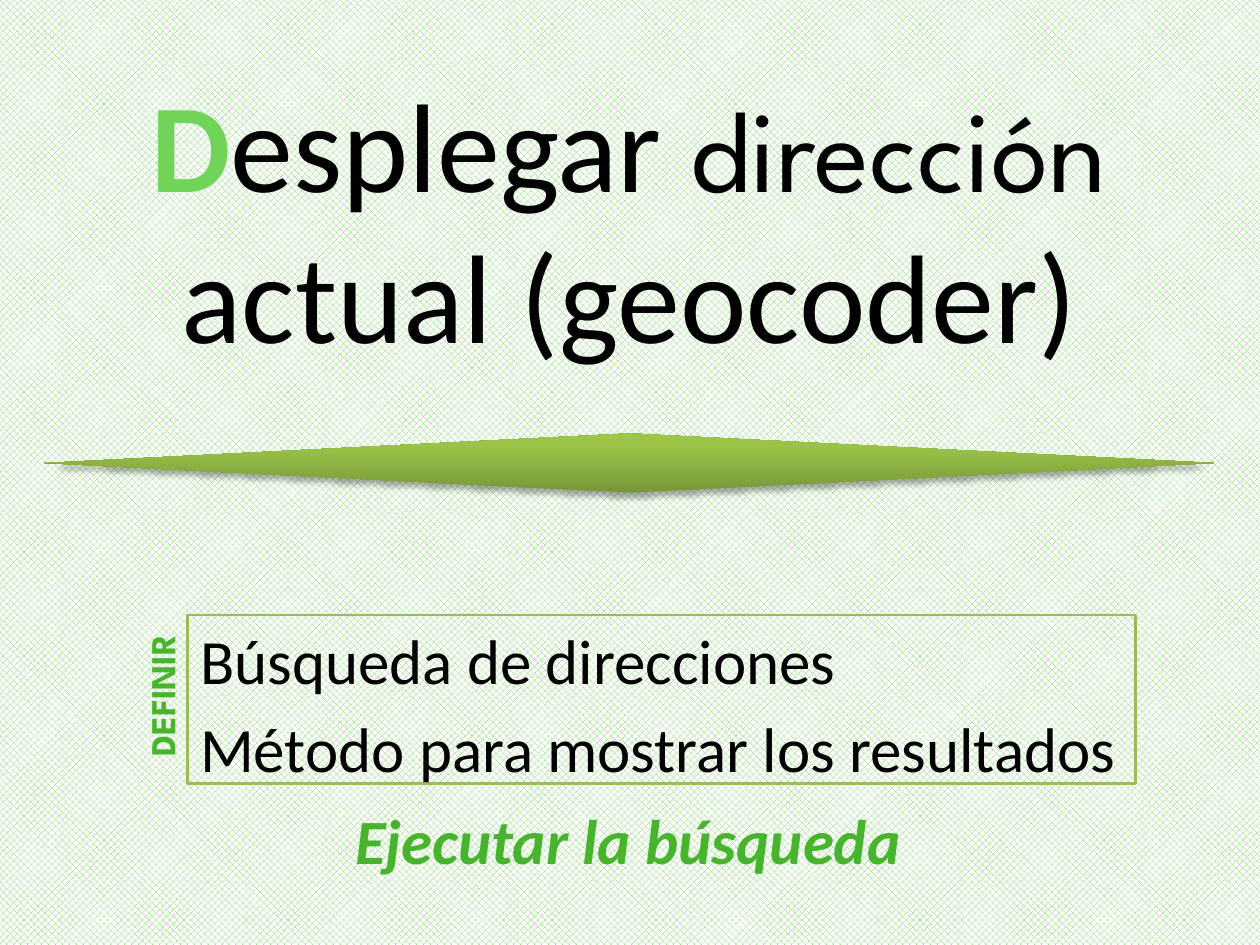
import copy

import pptx
import pptx.util
import pptx.oxml
import pptx.oxml.ns
import pptx.dml.color
import pptx.enum.dml
import pptx.enum.shapes
import pptx.enum.text

Inches, Pt = pptx.util.Inches, pptx.util.Pt
ALIGN = pptx.enum.text.PP_ALIGN
ANCHOR = pptx.enum.text.MSO_ANCHOR
COLORS = {"light": "70D458", "green": "48B42E", "border": "9BBB59",
          "black": "000000", "white": "FFFFFF"}
GRADIENT = [(0, "779737"), (0.8, "9BC348"), (1, "9DC746")]


def rgb(value):
    return pptx.dml.color.RGBColor.from_string(value)


def add_run(p, text, size=36, font="Calibri", color="black", bold=False, italic=False):
    r = p.add_run()
    r.text = text
    r.font.size, r.font.name = Pt(size), font
    r.font.bold, r.font.italic = bold, italic
    r.font.color.rgb = rgb(COLORS[color])


def add_text(s, box, paragraphs, align=ALIGN.LEFT, anchor=ANCHOR.TOP, before=0, grow=False):
    """Each paragraph is a list of (text, format) runs."""
    sp = s.shapes.add_textbox(*map(Inches, box))
    tf = sp.text_frame
    tf.word_wrap = True
    tf.vertical_anchor = anchor
    if grow:
        tf.auto_size = pptx.enum.text.MSO_AUTO_SIZE.SHAPE_TO_FIT_TEXT
    for i, runs in enumerate(paragraphs):
        p = tf.add_paragraph() if i else tf.paragraphs[0]
        p.alignment = align
        p.space_before = Pt(before)
        for text, fmt in runs:
            add_run(p, text, **fmt)
    return sp


def set_background(s):
    fill = s.background.fill
    fill.patterned()
    fill.pattern = pptx.enum.dml.MSO_PATTERN.OUTLINED_DIAMOND
    fill.fore_color.rgb = rgb(COLORS["light"])
    fill.back_color.rgb = rgb(COLORS["white"])


def add_divider(s, box):
    kind = pptx.enum.shapes.MSO_SHAPE.FLOWCHART_DECISION
    sp = s.shapes.add_shape(kind, *map(Inches, box))
    sp.line.fill.background()
    sp.fill.gradient()
    sp.fill.gradient_angle = 90
    # The default gradient has two stops; add the third
    stops = sp._element.spPr.find(".//" + pptx.oxml.ns.qn("a:gsLst"))
    stops.append(copy.deepcopy(stops[-1]))
    for stop, (position, color) in zip(sp.fill.gradient_stops, GRADIENT):
        stop.position = position
        stop.color.rgb = rgb(color)
    # Soft shadow below
    sp._element.spPr.append(pptx.oxml.parse_xml(
        f'<a:effectLst {pptx.oxml.ns.nsdecls("a")}>'
        f'<a:outerShdw blurRad="{Pt(3.1)}" dist="{Pt(1.8)}" dir="5400000" rotWithShape="0">'
        f'<a:srgbClr val="{COLORS["black"]}"><a:alpha val="35000"/></a:srgbClr>'
        '</a:outerShdw></a:effectLst>'))


def main():
    prs = pptx.Presentation()
    prs.slide_width, prs.slide_height = Inches(10), Inches(7.5)
    s = prs.slides.add_slide(prs.slide_layouts[6])
    set_background(s)

    # Title
    add_text(s, (0.37, 0.92, 9.25, 1.61), [[
        ("D", dict(size=72, color="light", bold=True)),
        ("esplegar ", dict(size=72)),
        ("dirección", dict(size=66, font="League Spartan")),
        (" actual (geocoder)", dict(size=72)),
    ]], align=ALIGN.CENTER, anchor=ANCHOR.MIDDLE)

    # Framed steps with their side label
    steps = add_text(s, (1.49, 4.88, 7.52, 1.34), [
        [("Búsqueda de direcciones", {})],
        [("Método para mostrar los resultados", {})],
    ], before=7.2)
    steps.line.color.rgb = rgb(COLORS["border"])
    steps.line.width = Pt(1.5)
    label = add_text(s, (0.46, 5.3, 1.65, 0.44), [[
        ("DEFINIR", dict(size=20, font="League Spartan", color="green", bold=True)),
    ]], align=ALIGN.CENTER, grow=True)
    label.rotation = 270

    # Divider and closing action
    add_divider(s, (0.35, 3.44, 9.29, 0.47))
    add_text(s, (2.72, 6.31, 4.8, 0.71), [[
        ("Ejecutar la búsqueda", dict(color="green", bold=True, italic=True)),
    ]], grow=True)

    prs.save("out.pptx")


if __name__ == "__main__":
    main()
